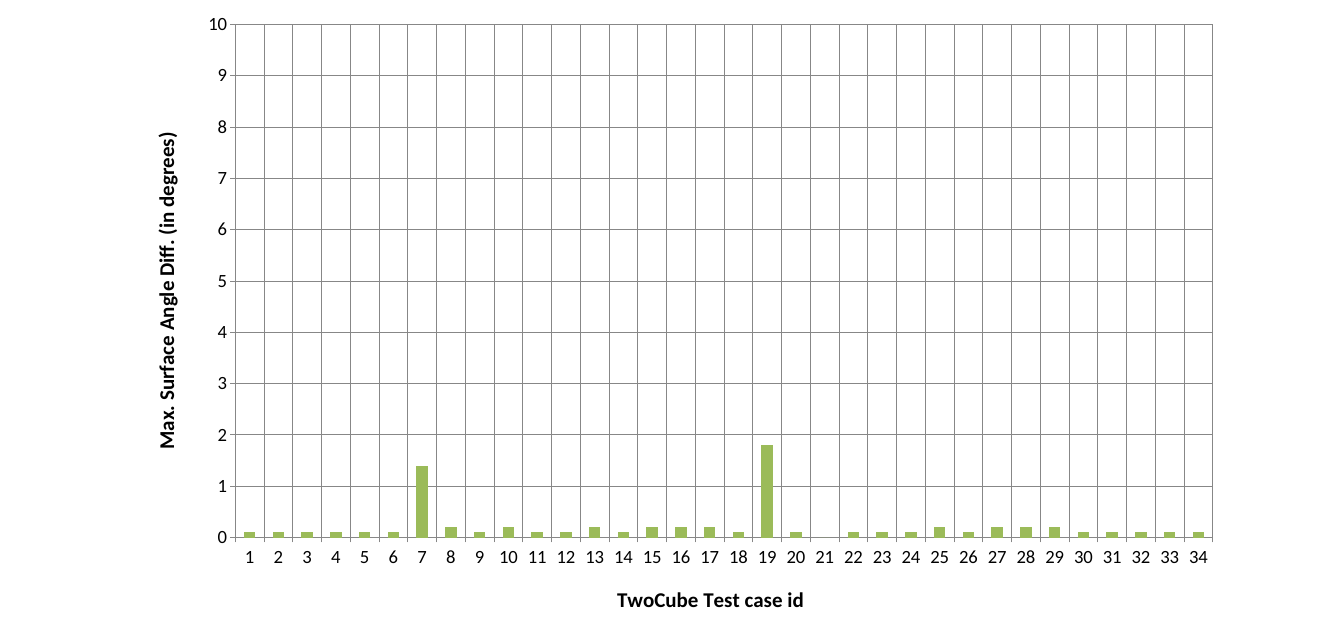
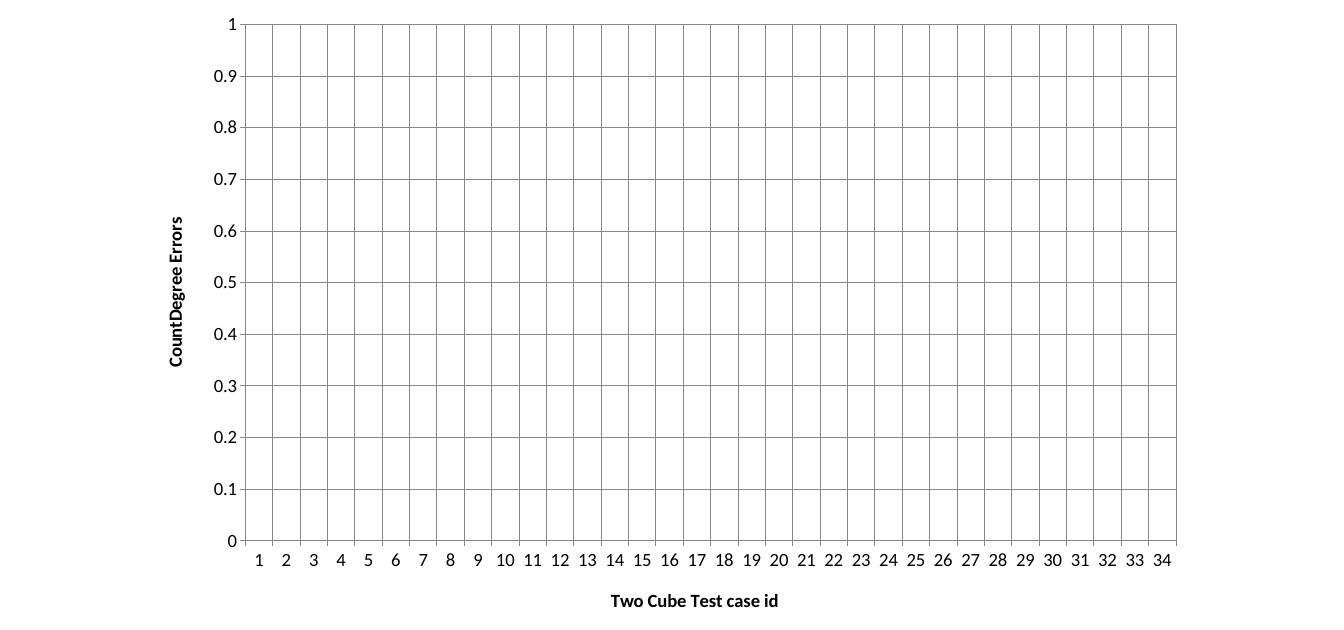
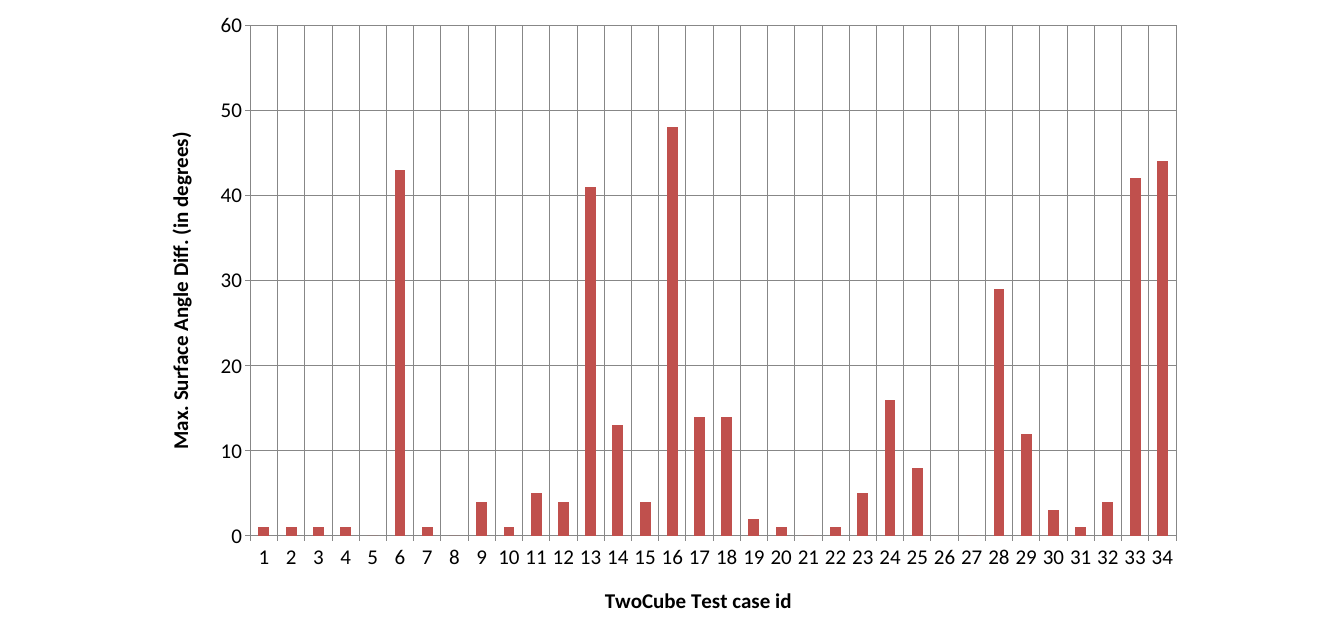
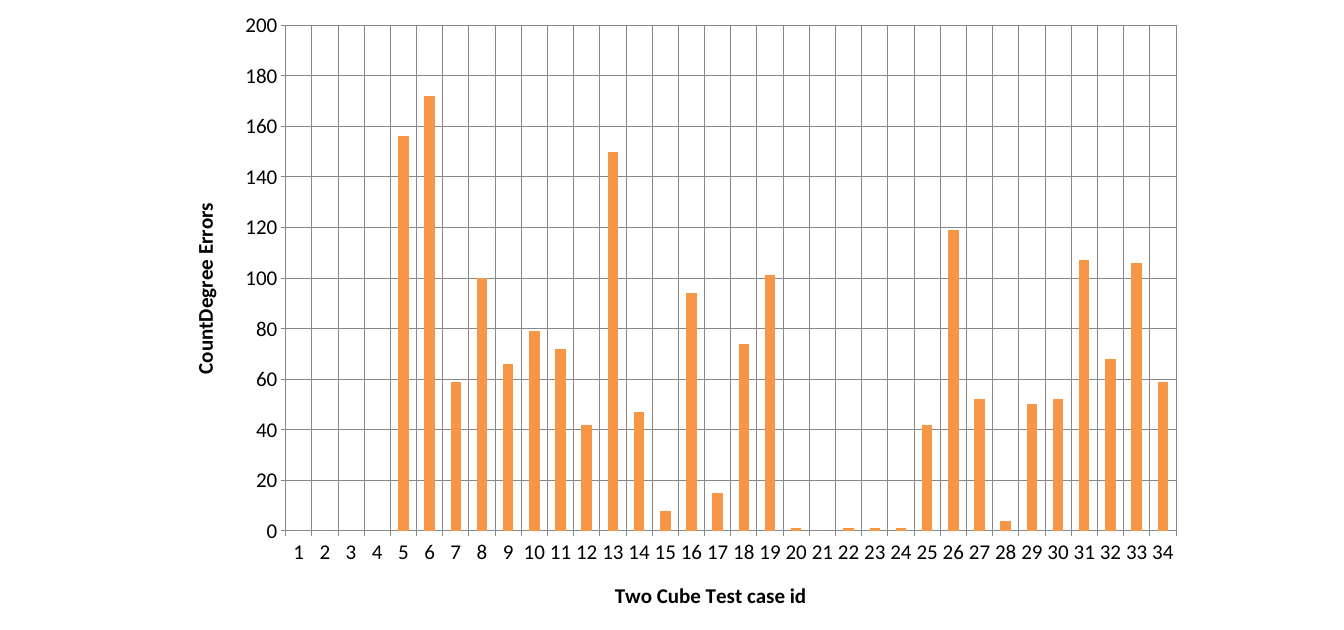
from lxml import etree
from pptx import Presentation
from pptx.chart.data import CategoryChartData
from pptx.dml.color import RGBColor
from pptx.enum.chart import XL_CHART_TYPE as ChartType, XL_TICK_MARK as TickMark
from pptx.oxml.ns import qn
from pptx.util import Inches, Pt

SLIDE_WIDTH, SLIDE_HEIGHT = 16, 7.5
FONT = "Calibri"
TEXT_COLOR = "000000"
GRID_COLOR = "878787"
CASES = 34

# "frame" is the left edge and width of a chart; "plot" is the left, top,
# right and bottom of its plot area. All are inches on the slide.
CHARTS = [
    {
        "case_title": "TwoCube Test case id",
        "value_title": "Max. Surface Angle Diff. (in degrees)",
        "title_size": 18, "label_size": 16, "color": "9BBB59",
        "top_value": 10, "step": 1,
        "frame": (1.28, 13.43), "plot": (2.8, 0.29, 14.44, 6.4),
        "values": [0.1, 0.1, 0.1, 0.1, 0.1, 0.1, 1.4, 0.2, 0.1, 0.2, 0.1, 0.1,
                   0.2, 0.1, 0.2, 0.2, 0.2, 0.1, 1.8, 0.1, 0, 0.1, 0.1, 0.1,
                   0.2, 0.1, 0.2, 0.2, 0.2, 0.1, 0.1, 0.1, 0.1, 0.1],
    },
    {
        "case_title": "Two Cube Test case id",
        "value_title": "CountDegree Errors",
        "title_size": 16, "label_size": 16, "color": "4F81BD",
        "top_value": 1, "step": 0.1,
        "frame": (1.75, 12.5), "plot": (2.92, 0.29, 14, 6.44),
        "values": [0] * CASES,
    },
    {
        "case_title": "TwoCube Test case id",
        "value_title": "Max. Surface Angle Diff. (in degrees)",
        "title_size": 18, "label_size": 18, "color": "C0504D",
        "top_value": 60, "step": 10,
        "frame": (1.75, 12.5), "plot": (2.98, 0.3, 14, 6.38),
        "values": [1, 1, 1, 1, 0, 43, 1, 0, 4, 1, 5, 4, 41, 13, 4, 48, 14, 14,
                   2, 1, 0, 1, 5, 16, 8, 0, 0, 29, 12, 3, 1, 4, 42, 44],
    },
    {
        "case_title": "Two Cube Test case id",
        "value_title": "CountDegree Errors",
        "title_size": 18, "label_size": 18, "color": "F79646",
        "top_value": 200, "step": 20,
        "frame": (1.75, 12.5), "plot": (3.4, 0.3, 14, 6.32),
        "values": [0, 0, 0, 0, 156, 172, 59, 100, 66, 79, 72, 42, 150, 47, 8,
                   94, 15, 74, 101, 1, 0, 1, 1, 1, 42, 119, 52, 4, 50, 52,
                   107, 68, 106, 59],
    },
]


def rgb(color):
    return RGBColor.from_string(color)


def style_font(font, size, bold=False):
    font.name = FONT
    font.size = Pt(size)
    font.bold = bold
    font.color.rgb = rgb(TEXT_COLOR)


def style_axis(axis, title, title_size, label_size):
    span = axis.axis_title.text_frame.paragraphs[0].add_run()
    span.text = title
    style_font(span.font, title_size, bold=True)
    style_font(axis.tick_labels.font, label_size)
    axis.major_tick_mark = TickMark.OUTSIDE
    axis.minor_tick_mark = TickMark.NONE
    axis.has_major_gridlines = True
    for line in (axis.format.line, axis.major_gridlines.format.line):
        line.color.rgb = rgb(GRID_COLOR)
        line.width = Pt(0.75)


def place_plot(chart, frame, plot):
    """Fix the inner plot area as shares of the chart's frame."""
    frame_left, frame_width = frame
    left, top, right, bottom = plot
    shares = {
        "x": (left - frame_left) / frame_width,
        "y": top / SLIDE_HEIGHT,
        "w": (right - left) / frame_width,
        "h": (bottom - top) / SLIDE_HEIGHT,
    }
    plot_area = chart.plots[0]._element.getparent()
    for old_layout in plot_area.findall(qn("c:layout")):
        plot_area.remove(old_layout)
    layout = etree.Element(qn("c:layout"))
    plot_area.insert(0, layout)
    manual = etree.SubElement(layout, qn("c:manualLayout"))
    settings = [("layoutTarget", "inner"), ("xMode", "edge"), ("yMode", "edge")]
    settings += [(name, f"{share:.4f}") for name, share in shares.items()]
    for name, value in settings:
        etree.SubElement(manual, qn(f"c:{name}")).set("val", value)


def add_case_chart(page, content):
    data = CategoryChartData(number_format="General")
    data.categories = [str(case) for case in range(1, CASES + 1)]
    data.add_series("Series 1", content["values"])
    left, width = content["frame"]
    chart = page.shapes.add_chart(
        ChartType.COLUMN_CLUSTERED, Inches(left), 0,
        Inches(width), Inches(SLIDE_HEIGHT), data).chart
    chart.has_title = False
    chart.has_legend = False
    style_font(chart.font, content["label_size"])

    sizes = content["title_size"], content["label_size"]
    style_axis(chart.category_axis, content["case_title"], *sizes)
    style_axis(chart.value_axis, content["value_title"], *sizes)
    chart.value_axis.minimum_scale = 0
    chart.value_axis.maximum_scale = content["top_value"]
    chart.value_axis.major_unit = content["step"]

    columns = chart.plots[0]
    columns.gap_width = 150
    columns.vary_by_categories = False
    fill = columns.series[0].format.fill
    fill.solid()
    fill.fore_color.rgb = rgb(content["color"])
    place_plot(chart, content["frame"], content["plot"])


def main():
    deck = Presentation()
    deck.slide_width = Inches(SLIDE_WIDTH)
    deck.slide_height = Inches(SLIDE_HEIGHT)
    for content in CHARTS:
        add_case_chart(deck.slides.add_slide(deck.slide_layouts[6]), content)
    deck.save("out.pptx")


if __name__ == "__main__":
    main()
